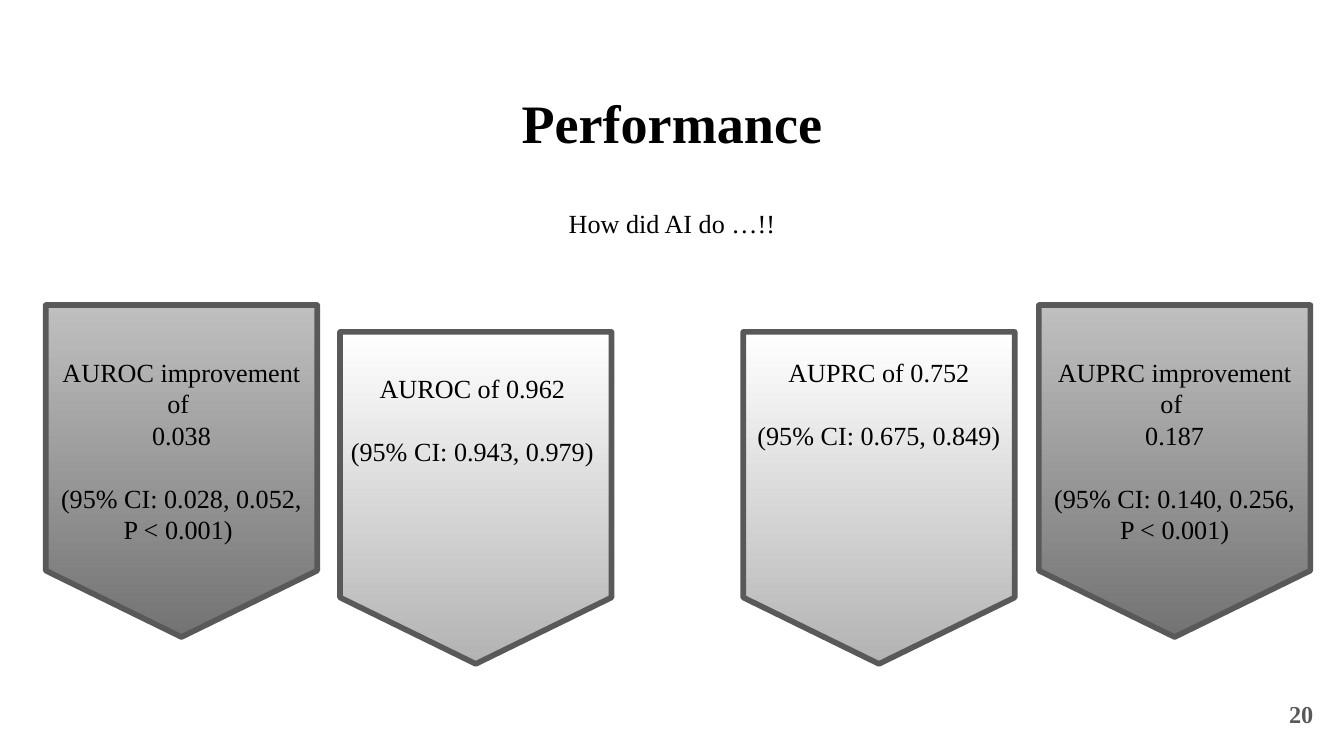
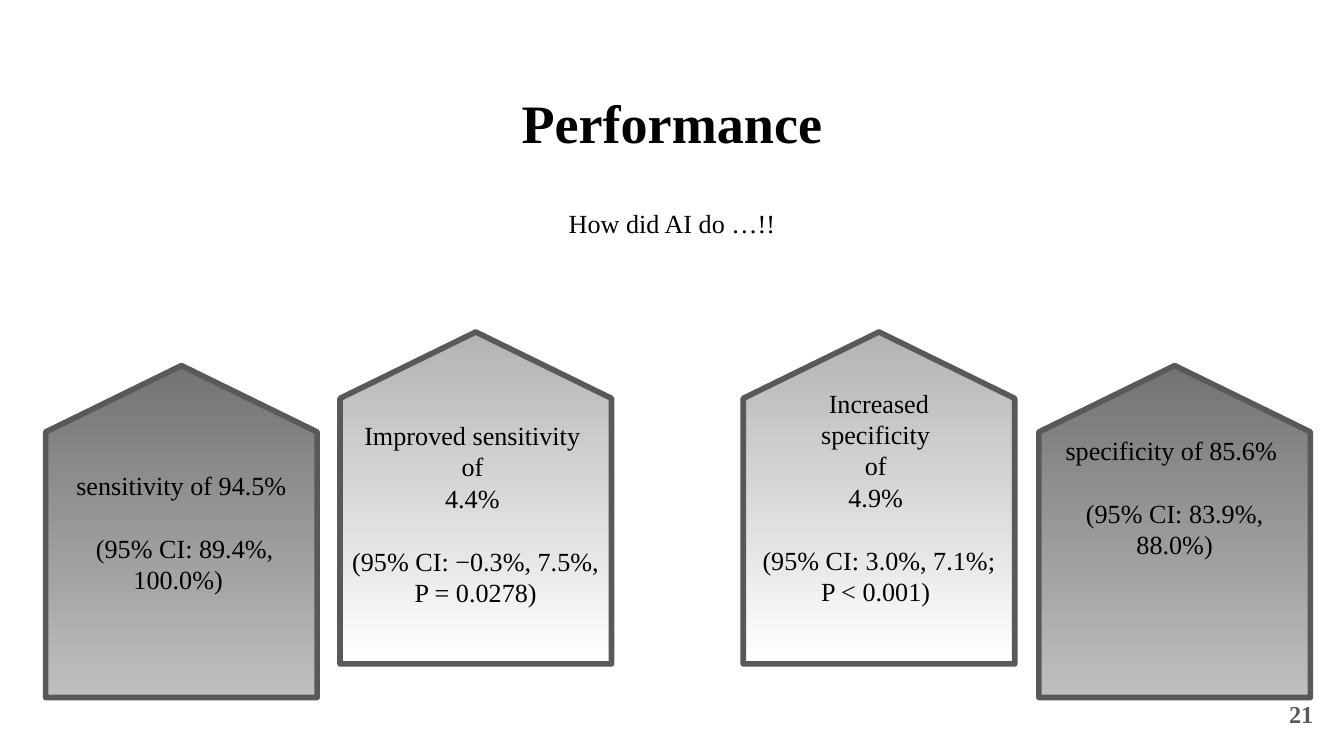
from lxml import etree
from pptx import Presentation
from pptx import util as u
from pptx.dml.color import RGBColor
from pptx.enum import shapes, text
from pptx.oxml.ns import qn

# Shared style
FONT = "Times New Roman"
BLACK, GREY = "000000", "595959"
LIGHT, DARK = ("FFFFFF", "B3B3B3"), ("BFBFBF", "737373")
BODY_SIZE = 14
BLANK_LINE = 17
INSET = 0.1

# Pennant grid
PENNANT_WIDTH, PENNANT_HEIGHT = 2.02, 2.47
INNER_TOP = 2.47
OUTER_LEFT, INNER_LEFT, INNER_RIGHT, OUTER_RIGHT = 0.34, 2.53, 5.53, 7.73
WIDE_CAPTION = (2.36, 2.36)  # left and width, broader than the pennant


def color(value):
    return RGBColor.from_string(value)


class Deck:
    def __init__(self):
        self.presentation = Presentation()
        self.presentation.slide_width = u.Inches(10)
        self.presentation.slide_height = u.Inches(10) * 9 // 16
        self.slide = None

    def add_slide(self, number):
        """Start a slide with the shared title, subtitle and page number."""
        self.slide = self.presentation.slides.add_slide(self.presentation.slide_layouts[6])
        title = self.text((0.34, 0.49, 9.32, 0.63), ["Performance"], size=29, bold=True)
        title.paragraphs[0].line_spacing = 1.15
        title.paragraphs[0].space_after = u.Pt(12)
        subtitle = self.text((0.34, 1.26, 9.32, 3.74), ["How did AI do …!!"])
        subtitle.margin_top = u.Inches(0.43)
        page = self.text((9.27, 5.1, 0.6, 0.43), [str(number)], size=13, bold=True,
                         ink=GREY, align=text.PP_ALIGN.RIGHT)
        page.vertical_anchor = text.MSO_ANCHOR.MIDDLE

    def text(self, box, lines, size=BODY_SIZE, bold=False, ink=BLACK,
             align=text.PP_ALIGN.CENTER):
        shape = self.slide.shapes.add_textbox(*map(u.Inches, box))
        frame = shape.text_frame
        frame.word_wrap = True
        frame.margin_left = frame.margin_right = u.Inches(INSET)
        frame.margin_top = frame.margin_bottom = u.Inches(INSET)
        for index, line in enumerate(lines):
            paragraph = frame.add_paragraph() if index else frame.paragraphs[0]
            paragraph.text = line
            paragraph.alignment = align
            font = paragraph.font
            font.name, font.size, font.bold = FONT, u.Pt(size), bold
            font.color.rgb = color(ink)
        return frame

    def pennant(self, left, top, shades, rotation):
        shape = self.slide.shapes.add_shape(
            shapes.MSO_SHAPE.FLOWCHART_OFFPAGE_CONNECTOR,
            *map(u.Inches, (left, top, PENNANT_WIDTH, PENNANT_HEIGHT)))
        shape.rotation = rotation
        shape.shadow.inherit = False
        shape.fill.gradient()
        shape.fill.gradient_angle = 270
        for stop, shade in zip(shape.fill.gradient_stops, shades):
            stop.color.rgb = color(shade)
        shape.line.color.rgb = color(GREY)
        shape.line.width = u.Pt(3)
        outline = shape.line.fill._xPr
        etree.SubElement(outline, qn("a:round"))

    def caption(self, left, top, width, height, result, interval):
        """Result lines, a gap, then the confidence interval lines."""
        frame = self.text((left, top, width, height), result + interval)
        frame.auto_size = text.MSO_AUTO_SIZE.SHAPE_TO_FIT_TEXT
        frame.paragraphs[len(result)].space_before = u.Pt(BLANK_LINE)

    def metrics_slide(self, number, outer_top, rotation, metrics):
        self.add_slide(number)
        for left, caption_top, caption_height, result, interval in metrics:
            inner = left in (INNER_LEFT, INNER_RIGHT)
            self.pennant(left, INNER_TOP if inner else outer_top,
                         LIGHT if inner else DARK, rotation)
            caption_left, width = (WIDE_CAPTION if left == INNER_LEFT
                                   else (left, PENNANT_WIDTH))
            self.caption(caption_left, caption_top, width, caption_height, result, interval)


# Each metric: pennant left, caption top, caption height, result, interval
AREA_METRICS = [
    (INNER_LEFT, 2.67, 0.91, ["AUROC of 0.962 "], ["(95% CI: 0.943, 0.979) "]),
    (INNER_RIGHT, 2.55, 0.91, ["AUPRC of 0.752"], ["(95% CI: 0.675, 0.849) "]),
    (OUTER_LEFT, 2.55, 1.62, ["AUROC improvement of ", "0.038"],
     ["(95% CI: 0.028, 0.052, P < 0.001) "]),
    (OUTER_RIGHT, 2.55, 1.62, ["AUPRC improvement of ", "0.187"],
     ["(95% CI: 0.140, 0.256, P < 0.001)"]),
]
RATE_METRICS = [
    (INNER_LEFT, 3.02, 1.62, ["Improved sensitivity ", "of ", "4.4% "],
     ["(95% CI: −0.3%, 7.5%,", " P = 0.0278) "]),
    (INNER_RIGHT, 2.78, 1.85, ["Increased", "specificity ", "of ", "4.9% "],
     ["(95% CI: 3.0%, 7.1%; P < 0.001) "]),
    (OUTER_LEFT, 3.39, 1.14, ["sensitivity of 94.5%"], [" (95% CI: 89.4%, 100.0%) "]),
    (OUTER_RIGHT, 3.13, 1.14, ["specificity of 85.6% "], ["(95% CI: 83.9%, 88.0%)"]),
]


def main():
    deck = Deck()
    # Pennants pointing down
    deck.metrics_slide(20, 2.27, 0, AREA_METRICS)
    # Pennants pointing up
    deck.metrics_slide(21, 2.72, 180, RATE_METRICS)
    deck.presentation.save("out.pptx")


if __name__ == "__main__":
    main()
